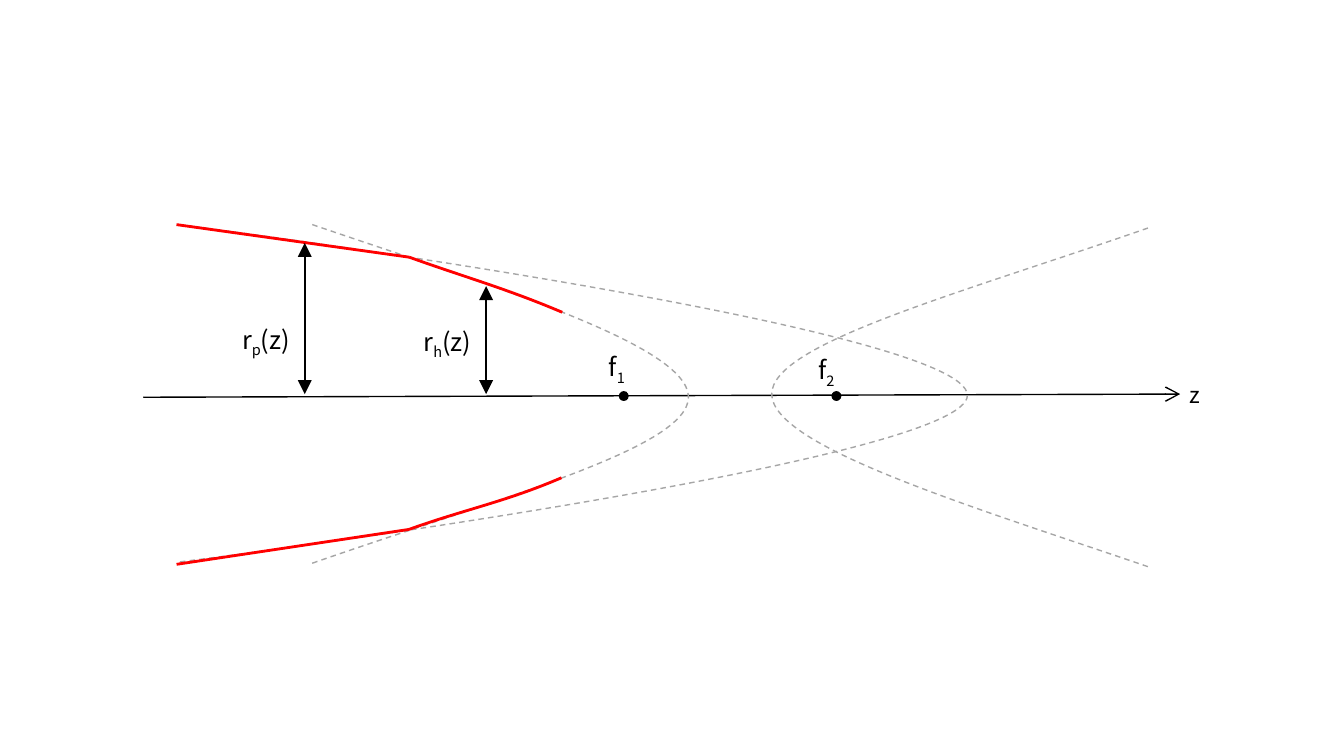
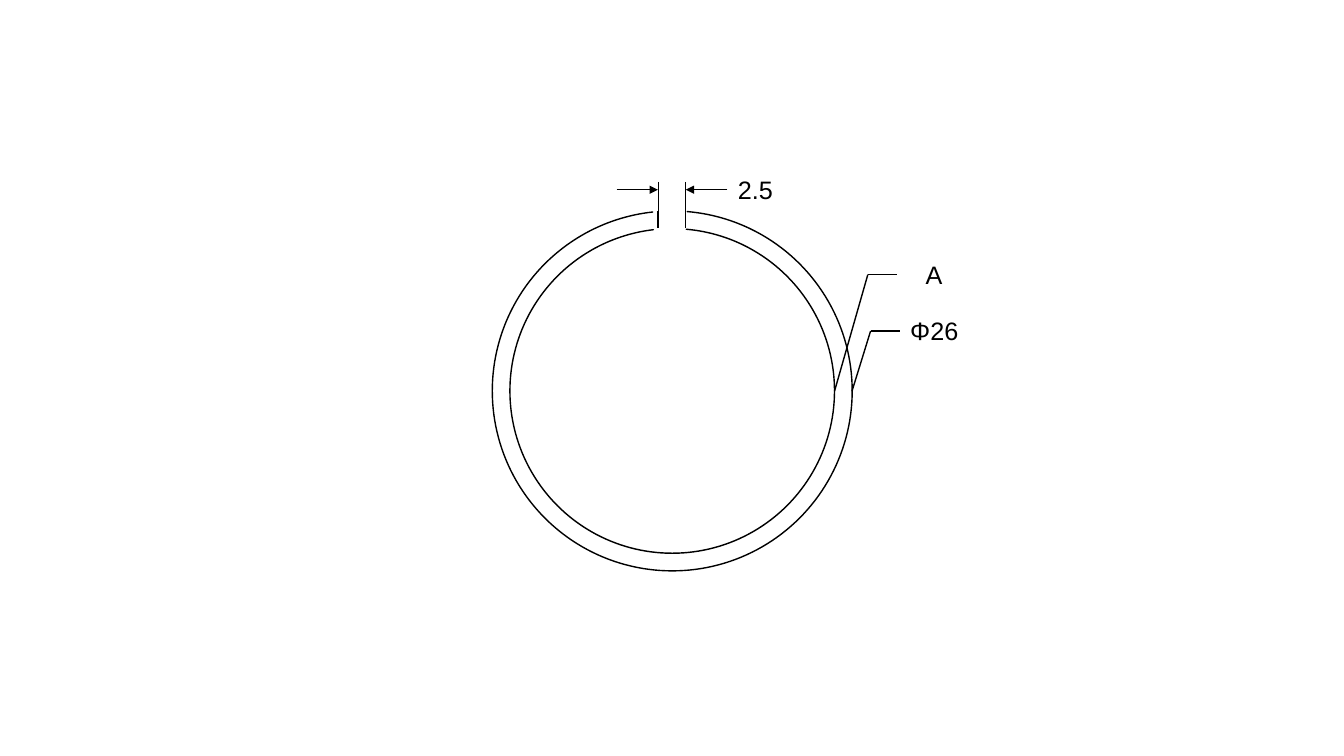
from lxml import etree
from pptx import Presentation
from pptx.dml.color import RGBColor
from pptx.enum.dml import MSO_LINE
from pptx.enum.shapes import MSO_CONNECTOR, MSO_SHAPE
from pptx.enum.text import MSO_ANCHOR, MSO_AUTO_SIZE, PP_ALIGN
from pptx.oxml.ns import qn
from pptx.util import Cm, Pt

BLACK = RGBColor(0x00, 0x00, 0x00)
GREY = RGBColor(0xA6, 0xA6, 0xA6)
RED = RGBColor(0xFF, 0x00, 0x00)
OPTICS_FONT = "Noto Sans CJK JP"
RING_FONT = "Arial"
BLANK_LAYOUT = 6
LABEL_HEIGHT = 1.02

STRAIGHT = MSO_CONNECTOR.STRAIGHT
OVAL, ARC = MSO_SHAPE.OVAL, MSO_SHAPE.BLOCK_ARC
DASH = MSO_LINE.DASH
LEFT, CENTER = PP_ALIGN.LEFT, PP_ALIGN.CENTER
MIDDLE, TOP = MSO_ANCHOR.MIDDLE, MSO_ANCHOR.TOP
FIT_SHAPE = MSO_AUTO_SIZE.SHAPE_TO_FIT_TEXT


# Elements; all coordinates are in centimetres

def style_line(line, color, width):
    line.color.rgb = color
    line.width = Pt(width)


def add_line(slide, start, end, width=1, color=BLACK, head=None, tail=None,
             arrow_size="med"):
    connector = slide.shapes.add_connector(
        STRAIGHT, *(Cm(value) for value in (*start, *end)))
    style_line(connector.line, color, width)
    for tag, arrow in (("a:headEnd", head), ("a:tailEnd", tail)):
        if arrow:
            etree.SubElement(connector.line._get_or_add_ln(), qn(tag),
                             type=arrow, w=arrow_size, len=arrow_size)
    etree.SubElement(connector._element.spPr, qn("a:effectLst"))


def add_curve(slide, nodes, color, width, dash=None):
    """Joined cubic curves: an anchor, then two handles and an anchor each."""
    anchors = [(Cm(x), Cm(y)) for x, y in nodes[::3]]
    builder = slide.shapes.build_freeform(*anchors[0])
    builder.add_line_segments(anchors[1:], close=False)
    curve = builder.convert_to_shape()

    # Bend each straight segment with its two handles
    segments = list(curve._element.iter(qn("a:lnTo")))
    for index, segment in enumerate(segments):
        segment.tag = qn("a:cubicBezTo")
        segment.clear()
        for x, y in nodes[3 * index + 1:3 * index + 4]:
            etree.SubElement(segment, qn("a:pt"), x=str(Cm(x) - curve.left),
                             y=str(Cm(y) - curve.top))

    curve.shadow.inherit = False
    curve.fill.background()
    style_line(curve.line, color, width)
    if dash:
        curve.line.dash_style = dash


def add_centered(slide, kind, center, diameter):
    x, y = center
    shape = slide.shapes.add_shape(kind, Cm(x - diameter / 2), Cm(y - diameter / 2),
                                   Cm(diameter), Cm(diameter))
    shape.shadow.inherit = False
    return shape


def add_focus(slide, center):
    focus = add_centered(slide, OVAL, center, 0.25)
    focus.fill.solid()
    focus.fill.fore_color.rgb = BLACK
    focus.line.fill.background()


def add_split_circle(slide, center, diameter, start, end):
    """Open circle drawn from start to end, in degrees."""
    circle = add_centered(slide, ARC, center, diameter)
    circle.rotation = 180
    for index, value in enumerate((start * 0.6, end * 0.6, 0)):
        circle.adjustments[index] = value
    circle.fill.background()
    style_line(circle.line, BLACK, 1)


def add_label(slide, position, width, text, font, subscript="", rest="",
              align=CENTER, size=18, height=LABEL_HEIGHT, anchor=TOP):
    label = slide.shapes.add_textbox(
        *(Cm(value) for value in (*position, width, height)))
    frame = label.text_frame
    frame.word_wrap = False
    frame.auto_size = FIT_SHAPE
    frame.vertical_anchor = anchor
    if height < LABEL_HEIGHT:
        frame.margin_top = frame.margin_bottom = 0
    paragraph = frame.paragraphs[0]
    paragraph.alignment = align
    paragraph.font.name = font
    paragraph.font.size = Pt(size)
    paragraph.font.color.rgb = BLACK
    for part in filter(None, (text, subscript, rest)):
        run = paragraph.add_run()
        run.text = part
        if part == subscript:
            run.font._element.set("baseline", "-25000")


def add_leader(slide, tip, elbow):
    x, y = elbow
    add_line(slide, tip, elbow)
    add_line(slide, elbow, (x + 0.74, y))


# Slides

def build_mirror_profile(slide):
    # Optical axis
    add_line(slide, (3.61, 10.01), (29.74, 9.93), tail="arrow", arrow_size="lg")
    add_label(slide, (29.74, 9.6), 0.69, "z", OPTICS_FONT,
              size=16, height=0.69, anchor=MIDDLE)

    # Full conics; the right branch is the left one turned by half a turn
    parabola = [(4.45, 5.66), (6.83, 5.94), (24.36, 8.33), (24.38, 9.96),
                (24.41, 11.51), (7.34, 13.82), (4.45, 14.17)]
    left_branch = [(7.87, 5.66), (12.34, 7.19), (17.35, 8.69), (17.35, 10.01),
                   (17.35, 11.28), (12.67, 12.52), (7.85, 14.2)]
    right_branch = [(36.8 - x, 19.94 - y) for x, y in left_branch]
    for conic in (parabola, left_branch, right_branch):
        add_curve(slide, conic, GREY, 1, DASH)

    # Foci
    for number, x, label_at in (("1", 15.72, (15.09, 8.74)),
                                ("2", 21.08, (20.37, 8.81))):
        add_focus(slide, (x, 9.98))
        add_label(slide, label_at, 0.99, "f", OPTICS_FONT, number, align=LEFT)

    # Mirror walls: parabolic part, then hyperbolic part
    for outer, joint, *bend in (
            ((4.45, 5.66), (10.31, 6.48), (11.73, 6.99), (12.73, 7.26), (14.17, 7.87)),
            ((4.45, 14.22), (10.31, 13.34), (11.73, 12.83), (12.73, 12.65), (14.15, 12.04))):
        add_line(slide, outer, joint, 2, RED)
        add_curve(slide, [joint, *bend], RED, 2)

    # Radii
    for name, x, top, label_at in (("p", 7.68, 6.12, (5.74, 8.05)),
                                   ("h", 12.25, 7.21, (10.31, 8.1))):
        add_line(slide, (x, top), (x, 9.93), 1.75, head="triangle",
                 tail="triangle", arrow_size="lg")
        add_label(slide, label_at, 1.93, "r", OPTICS_FONT, name, "(z)")


def build_split_ring(slide):
    # Ring
    center = (16.94, 9.85)
    add_split_circle(slide, center, 9.07, 94.77, 83.79)
    add_split_circle(slide, center, 8.18, 94.95, 83.33)

    # Gap ends with their dimension
    for edge, arrow_start in ((16.58, 15.54), (17.28, 18.33)):
        add_line(slide, (edge, 5.31), (edge, 5.74))
        add_line(slide, (edge, 4.58), (edge, 5.31), 0.5)
        add_line(slide, (arrow_start, 4.78), (edge, 4.78), 0.5, tail="triangle")
    add_label(slide, (18.34, 4.27), 1.4, "2.5", RING_FONT)

    # Diameters
    add_leader(slide, (21.47, 9.86), (21.94, 8.34))
    add_label(slide, (22.68, 7.82), 1.73, "Φ26", RING_FONT)
    add_leader(slide, (21.03, 9.86), (21.87, 6.92))
    add_label(slide, (23.07, 6.4), 0.94, "A", RING_FONT)


def main():
    deck = Presentation()
    deck.slide_width, deck.slide_height = Cm(33.87), Cm(19.05)
    for build in (build_mirror_profile, build_split_ring):
        build(deck.slides.add_slide(deck.slide_layouts[BLANK_LAYOUT]))
    deck.save("out.pptx")


if __name__ == "__main__":
    main()
